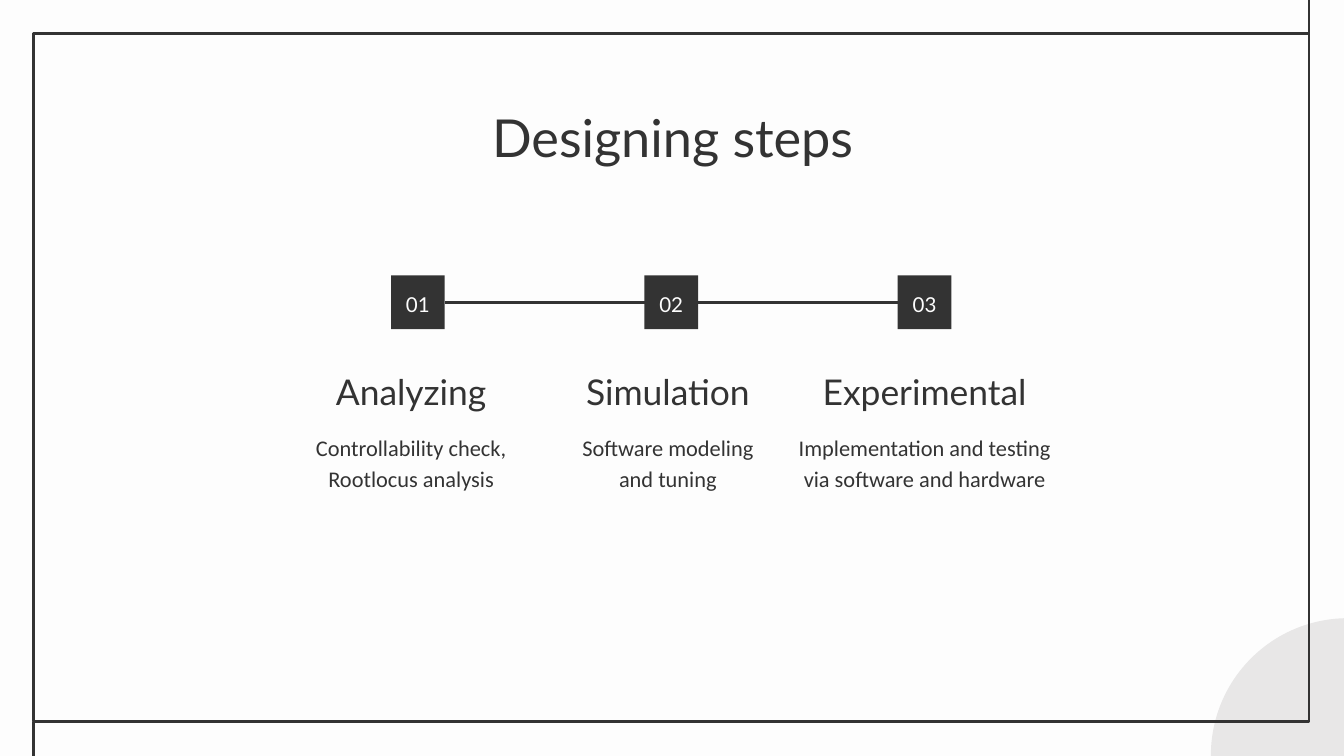
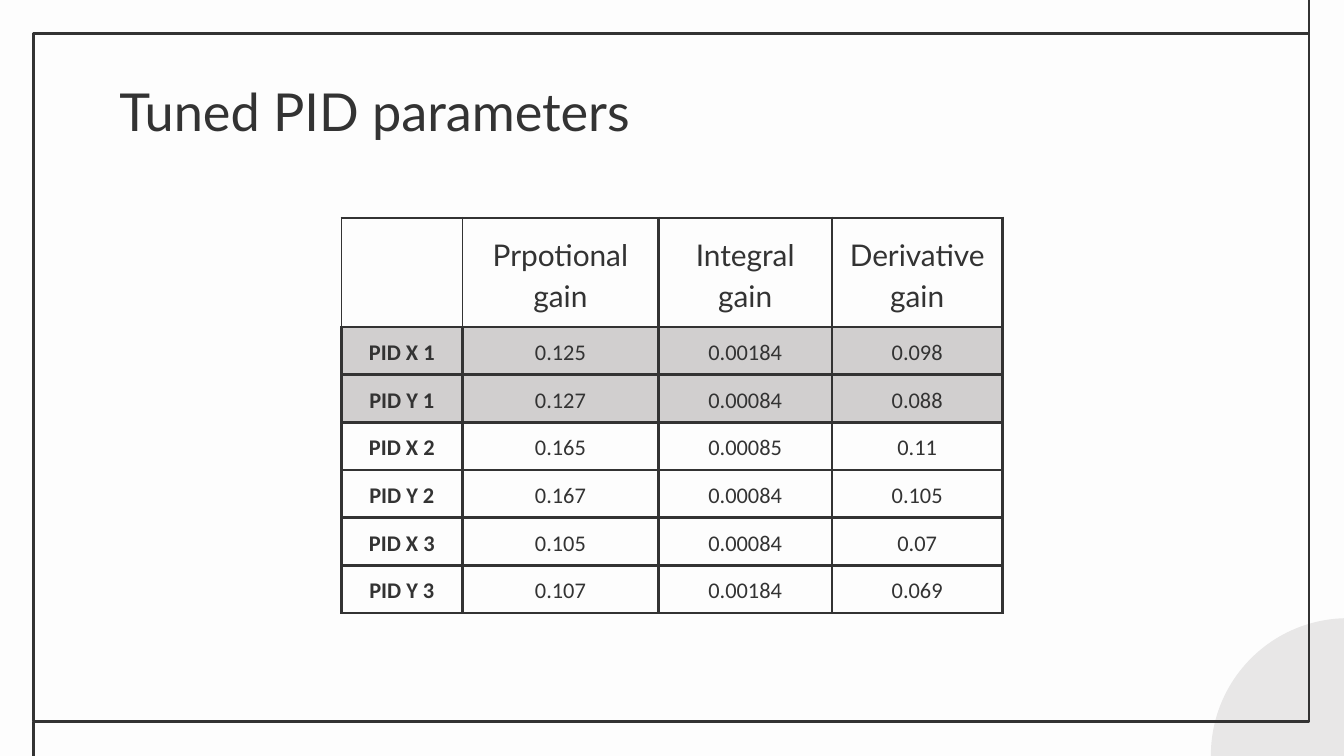
from dataclasses import dataclass

from lxml import etree
from pptx import Presentation
from pptx.dml.color import RGBColor
from pptx.enum.shapes import MSO_CONNECTOR, MSO_SHAPE
from pptx.enum.text import MSO_ANCHOR, PP_ALIGN
from pptx.oxml.ns import qn
from pptx.util import Pt

EMU_PER_PX = 4572  # 200 px to the inch
SLIDE_WIDTH, SLIDE_HEIGHT = 2000, 1125
BLANK_LAYOUT = 6

RECTANGLE, OVAL = MSO_SHAPE.RECTANGLE, MSO_SHAPE.OVAL
STRAIGHT = MSO_CONNECTOR.STRAIGHT
LEFT, CENTER = PP_ALIGN.LEFT, PP_ALIGN.CENTER
TOP, MIDDLE, BOTTOM = MSO_ANCHOR.TOP, MSO_ANCHOR.MIDDLE, MSO_ANCHOR.BOTTOM


@dataclass(frozen=True)
class Theme:
    ink: str = "333333"
    paper: str = "FDFDFD"
    accent: str = "E8E7E7"
    highlight: str = "D1CFCF"
    display_font: str = "Lato"
    body_font: str = "Calibri"
    title_size: int = 28
    heading_size: int = 19
    column_head_size: int = 16
    body_size: int = 12
    badge_size: int = 11
    line_width: float = 1.5
    thin_line: float = 1
    line_spacing: float = 1.15
    inset: int = 20


def px(length):
    return length * EMU_PER_PX


def rgb(color):
    return RGBColor.from_string(color)


class Deck:
    def __init__(self, theme):
        self.theme = theme
        self.presentation = Presentation()
        self.presentation.slide_width = px(SLIDE_WIDTH)
        self.presentation.slide_height = px(SLIDE_HEIGHT)
        self.slide = None

    def new_slide(self, title, title_top, align):
        """Start a slide with the shared corner circle, frame and title."""
        layout = self.presentation.slide_layouts[BLANK_LAYOUT]
        self.slide = self.presentation.slides.add_slide(layout)
        background = self.slide.background.fill
        background.solid()
        background.fore_color.rgb = rgb(self.theme.paper)

        left, top, width, height = 50, 50, 1898, 1024
        right, bottom = left + width, top + height
        self.shape(OVAL, 1802, 920, 408, 408, fill=self.theme.accent)
        self.line(right, top, right, 0)
        self.line(left, SLIDE_HEIGHT, left, bottom)
        self.shape(RECTANGLE, left, top, width, height, outline=self.theme.ink)
        self.text(title, 158, title_top, 1686, 126, self.theme.title_size,
                  self.theme.display_font, align=align, spacing=1)

    def shape(self, kind, left, top, width, height, fill=None, outline=None):
        shape = self.slide.shapes.add_shape(
            kind, px(left), px(top), px(width), px(height))
        shape.shadow.inherit = False
        if fill:
            shape.fill.solid()
            shape.fill.fore_color.rgb = rgb(fill)
        else:
            shape.fill.background()
        if outline:
            shape.line.color.rgb = rgb(outline)
            shape.line.width = Pt(self.theme.line_width)
        else:
            shape.line.fill.background()
        return shape

    def line(self, x1, y1, x2, y2):
        connector = self.slide.shapes.add_connector(
            STRAIGHT, px(x1), px(y1), px(x2), px(y2))
        connector.line.color.rgb = rgb(self.theme.ink)
        connector.line.width = Pt(self.theme.line_width)
        properties = connector.element.find(qn("p:spPr"))
        etree.SubElement(properties, qn("a:effectLst"))

    def text(self, words, left, top, width, height, size, font,
             anchor=TOP, align=CENTER, spacing=None):
        box = self.slide.shapes.add_textbox(
            px(left), px(top), px(width), px(height))
        self.fill_frame(box.text_frame, words, size, font, anchor, align, spacing)

    def badge(self, label, left, top, side):
        square = self.shape(RECTANGLE, left, top, side, side, fill=self.theme.ink)
        self.fill_frame(square.text_frame, label, self.theme.badge_size,
                        self.theme.display_font, MIDDLE, color=self.theme.paper)

    def fill_frame(self, frame, words, size, font, anchor, align=CENTER,
                   spacing=None, color=None):
        frame.word_wrap = True
        frame.vertical_anchor = anchor
        inset = px(self.theme.inset)
        frame.margin_left = frame.margin_right = inset
        frame.margin_top = frame.margin_bottom = inset
        self.style(frame, words, size, font, align, spacing, color)

    def style(self, frame, words, size, font, align=CENTER, spacing=None,
              color=None, bold=False):
        frame.text = words
        paragraph = frame.paragraphs[0]
        paragraph.alignment = align
        paragraph.line_spacing = spacing or self.theme.line_spacing
        paragraph.font.size = Pt(size)
        paragraph.font.name = font
        paragraph.font.bold = bold
        paragraph.font.color.rgb = rgb(color or self.theme.ink)

    def table(self, rows, left, top, widths, heights, highlighted):
        """Draw a grid whose empty corner cell has thin borders."""
        table = self.slide.shapes.add_table(
            len(rows), len(widths), px(left), px(top),
            px(sum(widths)), px(sum(heights))).table
        table.first_row = table.horz_banding = False
        for column, width in zip(table.columns, widths):
            column.width = px(width)
        for row, height in zip(table.rows, heights):
            row.height = px(height)
        for r, row in enumerate(rows):
            for c, words in enumerate(row):
                cell = table.cell(r, c)
                self.cell(cell, words, r == 0, c == 0)
                if r in highlighted:
                    cell.fill.solid()
                    cell.fill.fore_color.rgb = rgb(self.theme.highlight)
                else:
                    cell.fill.background()
                corner = r == c == 0
                self.borders(cell, {
                    "L": corner or (r, c) == (0, 1),
                    "R": corner,
                    "T": corner or (r, c) == (1, 0),
                    "B": corner,
                })

    def cell(self, cell, words, is_head, is_label):
        theme = self.theme
        cell.vertical_anchor = MIDDLE
        cell.margin_left = cell.margin_right = px(theme.inset)
        cell.margin_top = cell.margin_bottom = px(theme.inset) if is_head else 0
        if is_head:
            self.style(cell.text_frame, words, theme.column_head_size,
                       theme.display_font)
        else:
            self.style(cell.text_frame, words, theme.body_size,
                       theme.body_font, bold=is_label)

    def borders(self, cell, thin_sides):
        properties = cell._tc.get_or_add_tcPr()
        for position, (side, thin) in enumerate(thin_sides.items()):
            width = self.theme.thin_line if thin else self.theme.line_width
            border = etree.Element(qn(f"a:ln{side}"), w=str(Pt(width)))
            fill = etree.SubElement(border, qn("a:solidFill"))
            etree.SubElement(fill, qn("a:srgbClr"), val=self.theme.ink)
            properties.insert(position, border)


def designing_steps(deck):
    theme = deck.theme
    deck.new_slide("Designing steps", 136, CENTER)
    steps = [
        ("Analyzing", "Controllability check, Rootlocus analysis", 340),
        ("Simulation", "Software modeling and tuning", 340),
        ("Experimental", "Implementation and testing via software and hardware", 422),
    ]
    badge_left, badge_top, badge_side, badge_pitch = 582, 410, 80, 377
    first_center, step_pitch, heading_width = 612, 382, 380

    last_badge = badge_left + badge_pitch * (len(steps) - 1)
    middle = badge_top + badge_side // 2
    deck.line(badge_left + badge_side, middle, last_badge, middle)
    for i, (heading, detail, detail_width) in enumerate(steps):
        center = first_center + step_pitch * i
        deck.badge(f"{i + 1:02}", badge_left + badge_pitch * i, badge_top, badge_side)
        deck.text(heading, center - heading_width // 2, 544, heading_width, 90,
                  theme.heading_size, theme.display_font, anchor=BOTTOM)
        deck.text(detail, center - detail_width // 2, 620, detail_width, 192,
                  theme.body_size, theme.body_font)


def tuned_parameters(deck):
    deck.new_slide("Tuned PID parameters", 98, LEFT)
    gains = [
        ("", "Prpotional gain", "Integral gain", "Derivative gain"),
        ("PID X 1", "0.125", "0.00184", "0.098"),
        ("PID Y 1", "0.127", "0.00084", "0.088"),
        ("PID X 2", "0.165", "0.00085", "0.11"),
        ("PID Y 2", "0.167", "0.00084", "0.105"),
        ("PID X 3", "0.105", "0.00084", "0.07"),
        ("PID Y 3", "0.107", "0.00184", "0.069"),
    ]
    heights = [162] + [71] * (len(gains) - 1)
    deck.table(gains, 508, 324, [180, 292, 258, 254], heights, highlighted=(1, 2))


def main():
    deck = Deck(Theme())
    designing_steps(deck)
    tuned_parameters(deck)
    deck.presentation.save("out.pptx")


if __name__ == "__main__":
    main()
